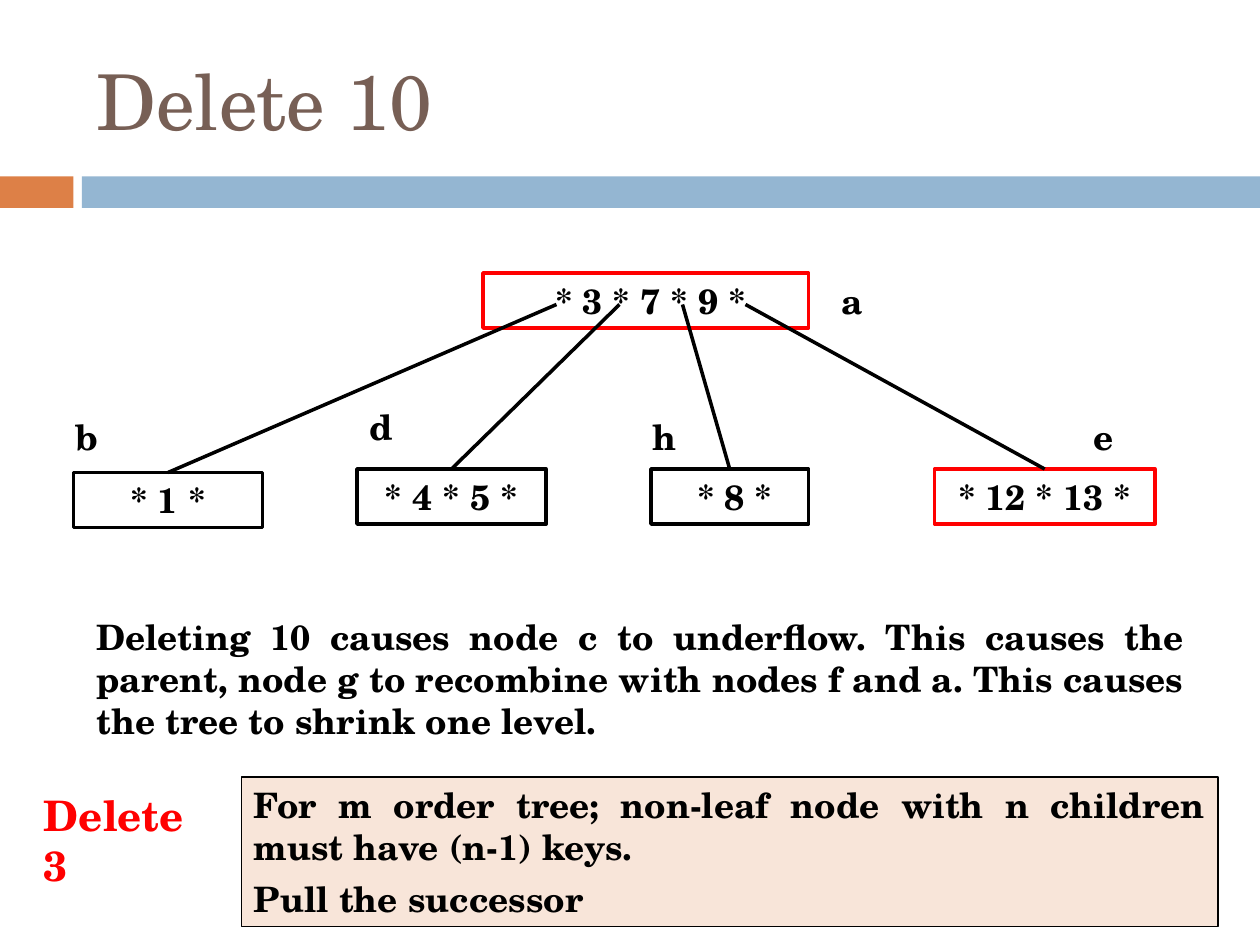
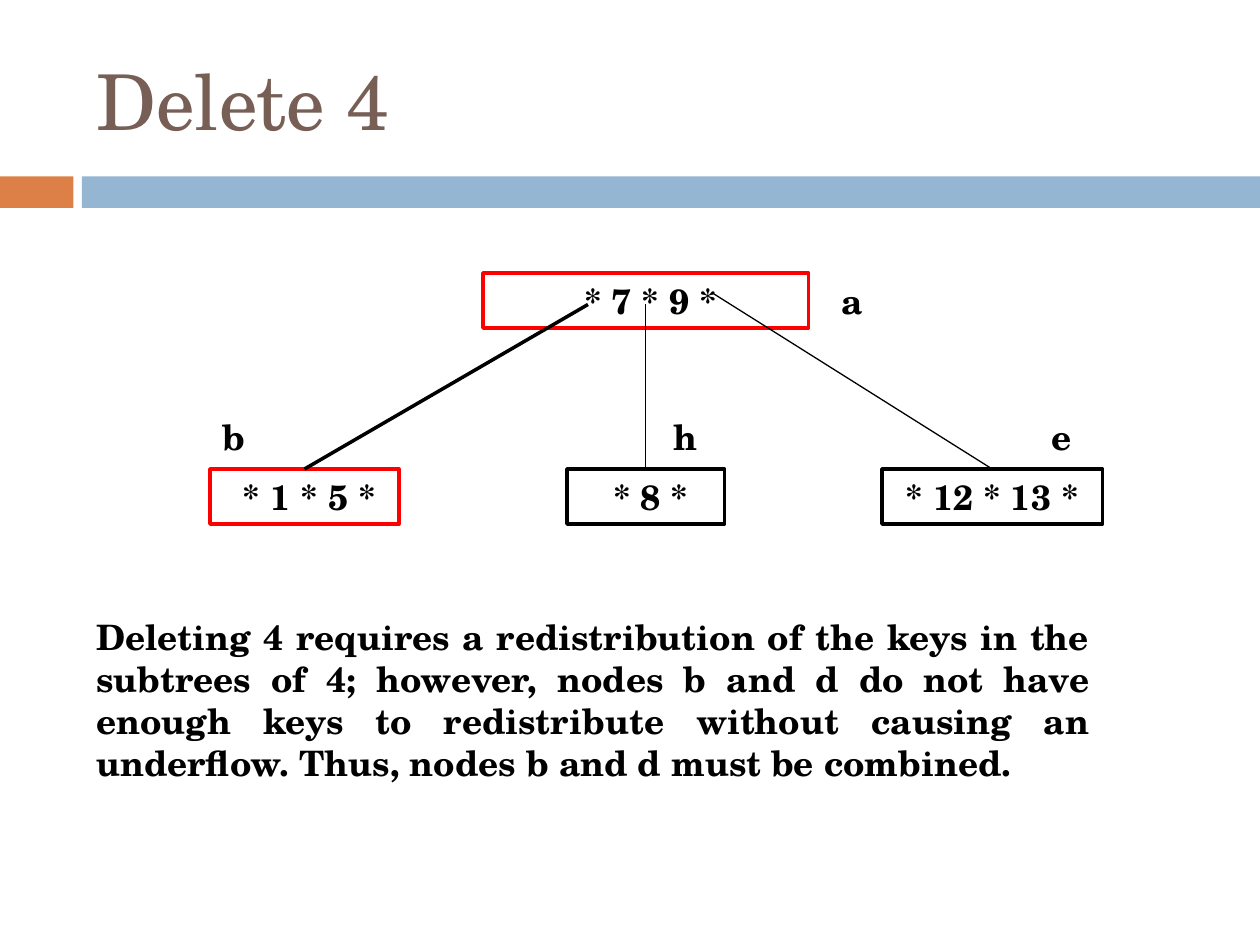
from dataclasses import dataclass

from pptx import Presentation
from pptx.dml.color import RGBColor
from pptx.enum.shapes import MSO_CONNECTOR, MSO_SHAPE
from pptx.enum.text import MSO_ANCHOR, MSO_AUTO_SIZE, PP_ALIGN
from pptx.oxml.ns import qn
from pptx.util import Inches, Pt
from lxml import etree

RECTANGLE, STRAIGHT = MSO_SHAPE.RECTANGLE, MSO_CONNECTOR.STRAIGHT
LEFT, CENTER, JUSTIFY = PP_ALIGN.LEFT, PP_ALIGN.CENTER, PP_ALIGN.JUSTIFY
TOP, MIDDLE = MSO_ANCHOR.TOP, MSO_ANCHOR.MIDDLE
TOP_SIDE = 0


@dataclass(frozen=True)
class Theme:
    font: str = "TeX Gyre Schola"
    title: str = "775F55"
    text: str = "000000"
    changed: str = "FF0000"
    accent: str = "DD8047"
    band: str = "94B6D2"
    note: str = "F8E5D9"
    title_size: int = 44
    call_size: int = 24
    text_size: int = 20
    thick: float = 2
    thin: float = 0.75


THEME = Theme()

# Grid: twelve units to the inch, so a slide is 120 by 90 units
UNITS_PER_INCH = 12
NODE_HEIGHT = 5.25
ROOT_ROW, LABEL_ROW, LEAF_ROW = 26, 39, 44.67
ROOT_COLUMN, ROOT_WIDTH, ROOT_LABEL_COLUMN = 46, 31, 79
LABEL_WIDTH = 6
LEADING_INDENT = 0.93  # keys set slightly right of centre
TITLE_BOX = (8, 3, 107, 13)
BANDS = [((0, 16.8, 7, 3), THEME.accent), ((7.8, 16.8, 112.2, 3), THEME.band)]

# Leaves: keys, column, width; link gives its start and line width
SLIDES = [
    {
        "title": "Delete 10",
        "root": "* 3 * 7 * 9 *",
        "leaves": [
            {"name": "b", "keys": "* 1 *", "column": 7, "width": 18, "row": 45,
             "label": (6, LABEL_ROW), "link": (53, 29, THEME.thick)},
            {"name": "d", "keys": "* 4 * 5 *", "column": 34, "width": 18,
             "label": (34, 38), "link": (59, 29, THEME.thick)},
            {"name": "h", "keys": "* 8 *", "column": 62, "width": 15, "indent": LEADING_INDENT,
             "label": (61, LABEL_ROW), "link": (65, 29, THEME.thick)},
            {"name": "e", "keys": "* 12 * 13 *", "column": 89, "width": 21, "changed": True,
             "label": (103, LABEL_ROW), "link": (71, 29, THEME.thick)},
        ],
        "explanation": "Deleting 10 causes node c to underflow. This causes the parent, "
                       "node g to recombine with nodes f and a. This causes the tree to "
                       "shrink one level.",
        "explanation_box": (8, 58, 106, 9.25),
        "next_step": "Delete 3",
        "note": ["For m order tree; non-leaf node with n children must have (n-1) keys.",
                 "Pull the successor"],
    },
    {
        "title": "Delete 4",
        "root": "* 7 * 9 *",
        "leaves": [
            {"name": "b", "keys": "* 1 * 5 *", "column": 20, "width": 18, "changed": True,
             "indent": LEADING_INDENT, "label": (20, LABEL_ROW), "link": (56, 29, THEME.thick)},
            {"name": "h", "keys": "* 8 *", "column": 54, "width": 15, "indent": LEADING_INDENT,
             "label": (63, LABEL_ROW), "link": (61.5, 29, THEME.thin)},
            {"name": "e", "keys": "* 12 * 13 *", "column": 84, "width": 21,
             "label": (99, LABEL_ROW), "link": (68, 28, THEME.thin)},
        ],
        "explanation": "Deleting 4 requires a redistribution of the keys in the subtrees of 4; "
                       "however, nodes b and d do not have enough keys to redistribute without "
                       "causing an underflow. Thus, nodes b and d must be combined.",
        "explanation_box": (8, 58, 97, 17.4),
    },
]
NEXT_STEP_BOX = (3, 77, 16, 6)
NOTE_BOX = (23, 74, 93, 14.25)


def units(value):
    return Inches(value / UNITS_PER_INCH)


def place(box):
    return [units(value) for value in box]


def color(value):
    return RGBColor.from_string(value)


def write(shape, paragraphs, size=THEME.text_size, ink=THEME.text, bold=True,
          align=LEFT, anchor=TOP, indent=0, gap=6):
    """Fill a shape with formatted paragraphs."""
    frame = shape.text_frame
    frame.word_wrap = True
    frame.auto_size = MSO_AUTO_SIZE.NONE
    frame.vertical_anchor = anchor
    frame.margin_left = Inches(0.1) + units(indent)
    frame.margin_right = Inches(0.1)
    frame.margin_top = frame.margin_bottom = Inches(0.05)
    for index, text in enumerate(paragraphs):
        paragraph = frame.add_paragraph() if index else frame.paragraphs[0]
        paragraph.alignment = align
        paragraph.space_before = Pt(gap if index else 0)
        run = paragraph.add_run()
        run.text = text
        run.font.name = THEME.font
        run.font.size = Pt(size)
        run.font.bold = bold
        run.font.color.rgb = color(ink)


def add_box(slide, box, fill=None, line=None, width=THEME.thick):
    shape = slide.shapes.add_shape(RECTANGLE, *place(box))
    shape.shadow.inherit = False
    if fill:
        shape.fill.solid()
        shape.fill.fore_color.rgb = color(fill)
    else:
        shape.fill.background()
    if line:
        shape.line.color.rgb = color(line)
        shape.line.width = Pt(width)
    else:
        shape.line.fill.background()
    return shape


def add_text(slide, box, text, **text_format):
    write(slide.shapes.add_textbox(*place(box)), [text], **text_format)


def add_node(slide, box, keys, changed=False, indent=0):
    node = add_box(slide, box, line=THEME.changed if changed else THEME.text)
    write(node, [keys], align=CENTER, indent=indent)
    return node


def add_link(slide, start, leaf_node, width):
    x, y = place(start)
    link = slide.shapes.add_connector(STRAIGHT, x, y, x, y)
    link.end_connect(leaf_node, TOP_SIDE)
    link.line.color.rgb = color(THEME.text)
    link.line.width = Pt(width)
    etree.SubElement(link.element.spPr, qn("a:effectLst"))


def add_tree(slide, root_keys, leaves):
    add_node(slide, (ROOT_COLUMN, ROOT_ROW, ROOT_WIDTH, NODE_HEIGHT), root_keys,
             changed=True, indent=LEADING_INDENT)
    # Leaves and the links that lead to them
    for leaf in leaves:
        box = (leaf["column"], leaf.get("row", LEAF_ROW), leaf["width"], NODE_HEIGHT)
        node = add_node(slide, box, leaf["keys"], leaf.get("changed", False),
                        leaf.get("indent", 0))
        *start, width = leaf["link"]
        add_link(slide, start, node, width)
    # Node names
    names = [("a", (ROOT_LABEL_COLUMN, ROOT_ROW))]
    names += [(leaf["name"], leaf["label"]) for leaf in leaves]
    for name, corner in names:
        add_text(slide, (*corner, LABEL_WIDTH, NODE_HEIGHT), name)


def add_slide(presentation, content):
    slide = presentation.slides.add_slide(presentation.slide_layouts[5])
    # Bands and title
    for box, fill in BANDS:
        add_box(slide, box, fill=fill)
    title = slide.shapes.title
    title.left, title.top, title.width, title.height = place(TITLE_BOX)
    write(title, [content["title"]], size=THEME.title_size, ink=THEME.title,
          bold=False, anchor=MIDDLE)
    # Tree and explanation
    add_tree(slide, content["root"], content["leaves"])
    add_text(slide, content["explanation_box"], content["explanation"], align=JUSTIFY)
    # Next step with its note
    if "next_step" in content:
        add_text(slide, NEXT_STEP_BOX, content["next_step"], size=THEME.call_size,
                 ink=THEME.changed, anchor=MIDDLE)
        note = add_box(slide, NOTE_BOX, fill=THEME.note, line=THEME.text, width=THEME.thin)
        write(note, content["note"], align=JUSTIFY)


def main():
    presentation = Presentation()
    presentation.slide_width, presentation.slide_height = Inches(10), Inches(7.5)
    for content in SLIDES:
        add_slide(presentation, content)
    presentation.save("out.pptx")


if __name__ == "__main__":
    main()
